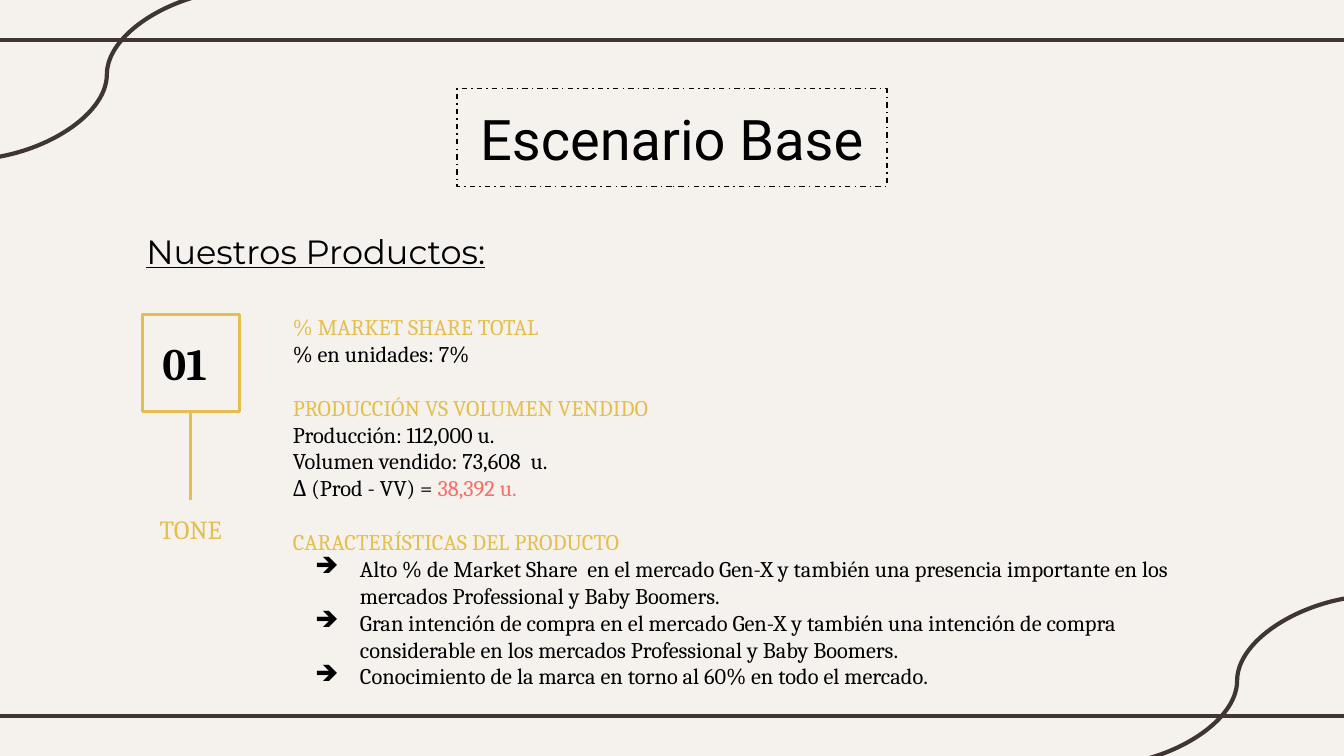
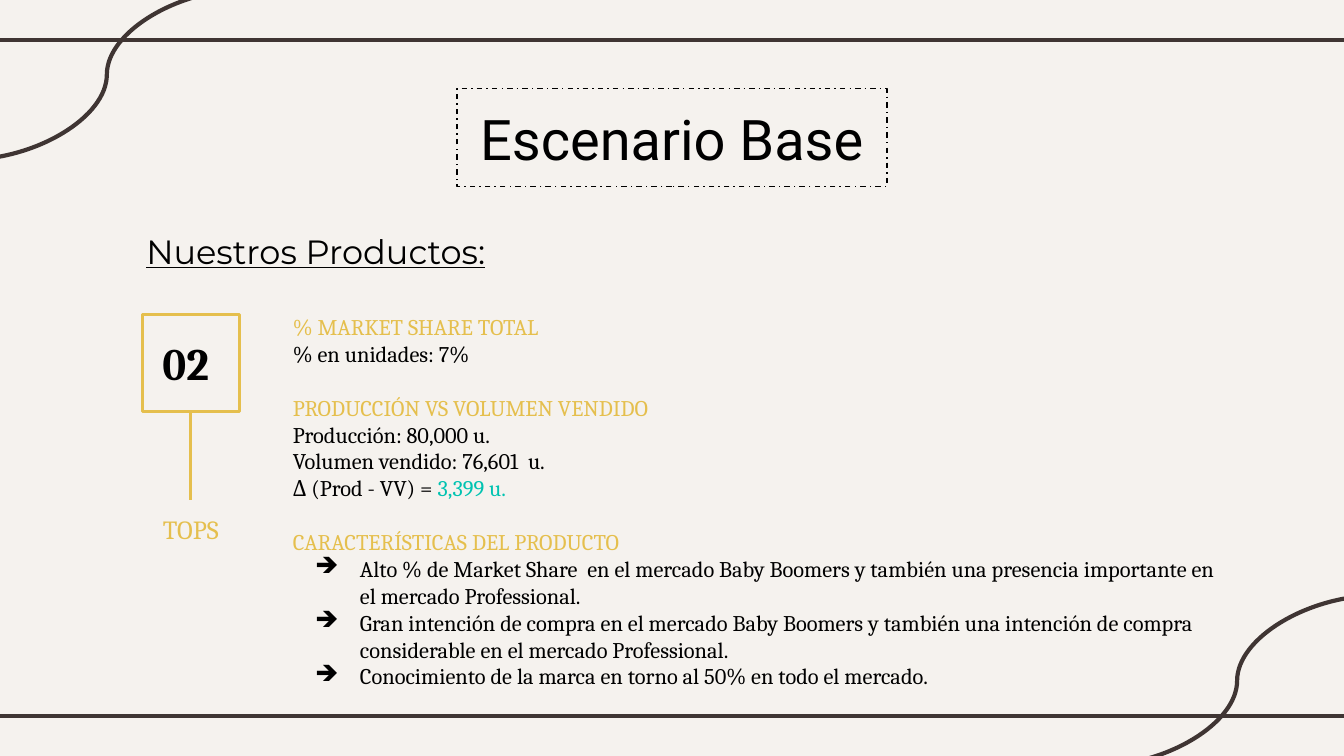
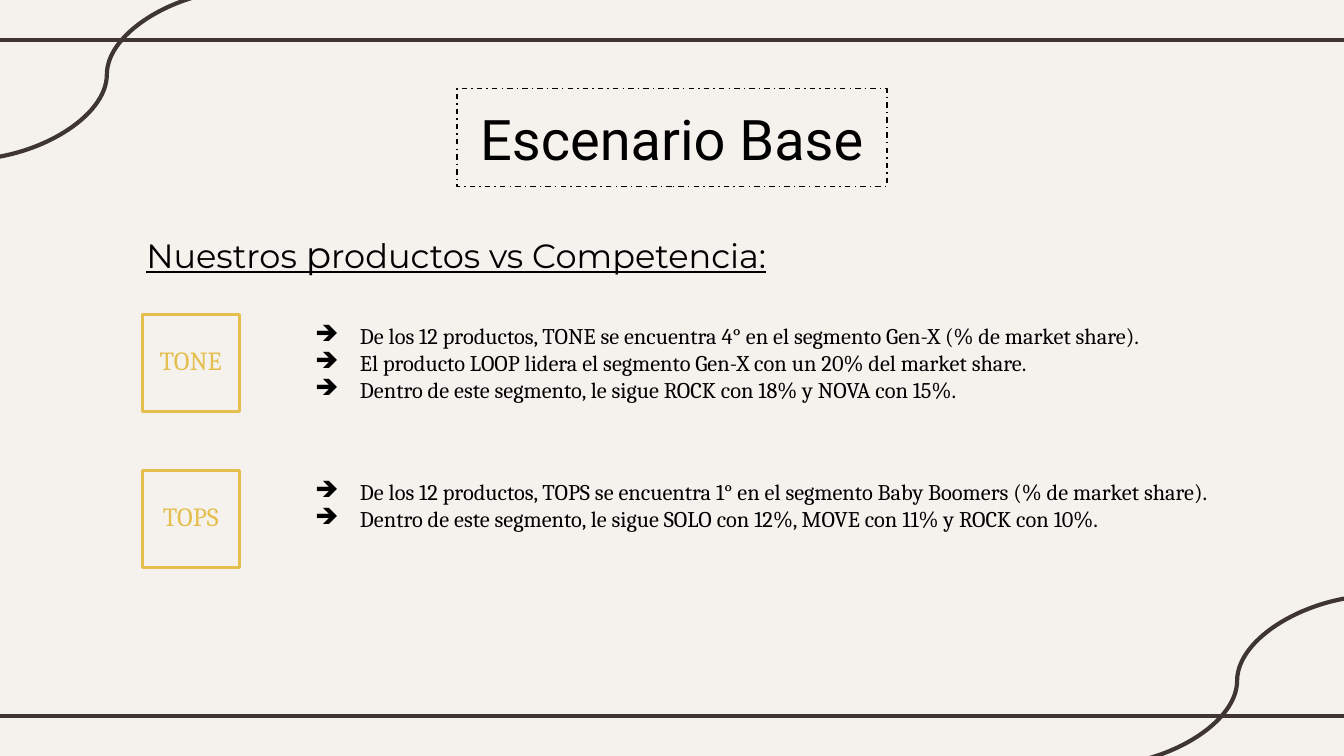
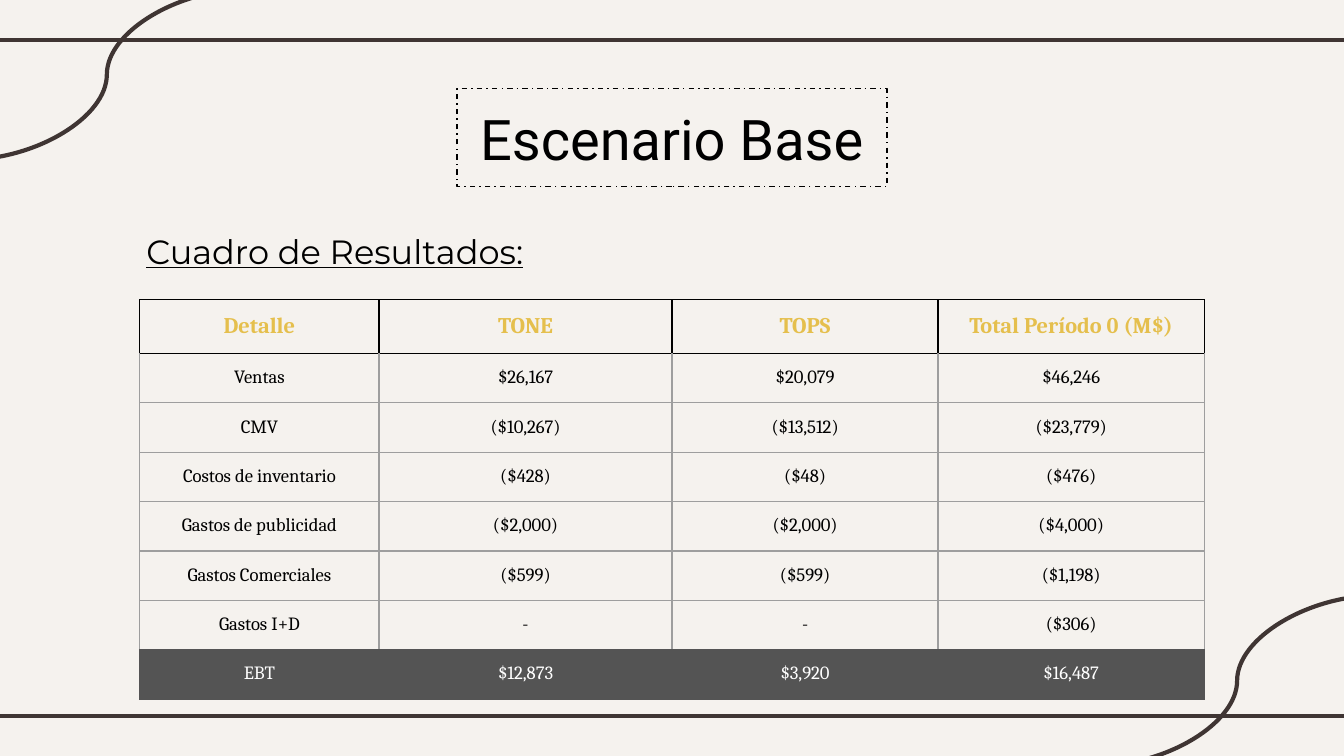
from dataclasses import dataclass
from typing import NamedTuple

import lxml.etree
import pptx
import pptx.dml.color
import pptx.enum.dml
import pptx.enum.shapes
import pptx.enum.text
import pptx.oxml.ns
import pptx.util

COLUMNS, ROWS = 100, 56.25
CELL = pptx.util.Inches(0.1)


@dataclass(frozen=True)
class Theme:
    paper: str = "F5F2EE"
    ink: str = "000000"
    band: str = "3F3533"
    gold: str = "E5BF4D"
    loss: str = "FF6B65"
    gain: str = "00C3B1"
    rule: str = "9E9E9E"
    total: str = "545454"
    light: str = "FFFFFF"
    title_font: str = "Roboto"
    subtitle_font: str = "Montserrat"
    body_font: str = "Cambria"
    title_size: float = 30
    number_size: float = 24
    accent_size: float = 20
    subtitle_size: float = 18
    label_size: float = 14
    body_size: float = 12
    cell_size: float = 10
    band_width: float = 2.25
    badge_width: float = 1.5
    thin_width: float = 0.75
    paragraph_gap: float = 14.4


THEME = Theme()


class Area(NamedTuple):
    left: float
    top: float
    width: float
    height: float


class Stroke(NamedTuple):
    start: tuple[float, float]
    end: tuple[float, float]
    color: str
    width: float
    curved: bool = False


class Span(NamedTuple):
    text: str
    color: str | None = None
    size: float | None = None


@dataclass(frozen=True)
class Line:
    spans: tuple[Span, ...]
    color: str = THEME.ink
    size: float = THEME.body_size
    font: str = THEME.body_font
    bold: bool = False
    underline: bool = False
    centered: bool = False
    bullet: bool = False
    spacing: float | None = None
    before: float = 0
    after: float = 0


@dataclass(frozen=True)
class Product:
    number: str
    name: str
    production: str
    sold: str
    difference: Span
    features: tuple[str, ...]


@dataclass(frozen=True)
class Comparison:
    name: str
    findings: tuple[str, ...]


TITLE_AREA = Area(34, 6.6, 32, 7.3)
SUBTITLE_AREA = Area(9.9, 15.7, 78.7, 4.8)
BADGE_LEFT, BADGE_TOP, BADGE_SIDE = 10.6, 23.4, 7.2
BADGE_CENTER = BADGE_LEFT + BADGE_SIDE / 2
LABEL_WIDTH, LABEL_HEIGHT = 18, 4.8
STEM_END = 37.2
BODY_LEFT, BODY_WIDTH = 20.8, 71.2
COMPARISON_STEP = 11.6
TABLE_LEFT, TABLE_TOP = 10.4, 22.3
TABLE_COLUMNS = (17.8, 21.8, 19.8, 19.8)
TABLE_ROW = 3.4

BANDS = (
    *(Stroke((-0.8, row), (COLUMNS + 0.8, row), THEME.band, THEME.band_width) for row in (3, 53.3)),
    Stroke((102.6, 44.3), (81.5, 57), THEME.band, THEME.band_width, True),
    Stroke((18.5, -0.8), (-2.6, 11.9), THEME.band, THEME.band_width, True),
)

PRODUCTS = (
    Product("01", "TONE", "112,000", "73,608", Span("38,392 u.", THEME.loss), (
        "Alto % de Market Share  en el mercado Gen-X y también una presencia importante en los "
        "mercados Professional y Baby Boomers.",
        "Gran intención de compra en el mercado Gen-X y también una intención de compra "
        "considerable en los mercados Professional y Baby Boomers.",
        "Conocimiento de la marca en torno al 60% en todo el mercado.",
    )),
    Product("02", "TOPS", "80,000", "76,601", Span("3,399 u.", THEME.gain), (
        "Alto % de Market Share  en el mercado Baby Boomers y también una presencia importante "
        "en el mercado Professional.",
        "Gran intención de compra en el mercado Baby Boomers y también una intención de compra "
        "considerable en el mercado Professional.",
        "Conocimiento de la marca en torno al 50% en todo el mercado.",
    )),
)

COMPARISONS = (
    Comparison("TONE", (
        "De los 12 productos, TONE se encuentra 4° en el segmento Gen-X (% de market share).",
        "El producto LOOP lidera el segmento Gen-X con un 20% del market share.",
        "Dentro de este segmento, le sigue ROCK con 18% y NOVA con 15%.",
    )),
    Comparison("TOPS", (
        "De los 12 productos, TOPS se encuentra 1° en el segmento Baby Boomers (% de market share).",
        "Dentro de este segmento, le sigue SOLO con 12%, MOVE con 11% y ROCK con 10%.",
    )),
)

RESULTS = (
    ("Detalle", "TONE", "TOPS", "Total Período 0 (M$)"),
    ("Ventas", "$26,167", "$20,079", "$46,246"),
    ("CMV", "($10,267)", "($13,512)", "($23,779)"),
    ("Costos de inventario", "($428)", "($48)", "($476)"),
    ("Gastos de publicidad", "($2,000)", "($2,000)", "($4,000)"),
    ("Gastos Comerciales", "($599)", "($599)", "($1,198)"),
    ("Gastos I+D", "-", "-", "($306)"),
    ("EBT", "$12,873", "$3,920", "$16,487"),
)


def cells(count: float) -> int:
    return round(count * CELL)


def place(area: Area) -> list[int]:
    return [cells(length) for length in area]


def rgb(color: str) -> pptx.dml.color.RGBColor:
    return pptx.dml.color.RGBColor.from_string(color)


def add_xml(parent, tag: str, **attributes: str):
    return lxml.etree.SubElement(parent, pptx.oxml.ns.qn(tag), attributes)


def add_bullet(para) -> None:
    properties = para._p.get_or_add_pPr()
    properties.set("marL", str(pptx.util.Inches(0.5)))
    properties.set("indent", str(-pptx.util.Pt(24)))
    add_xml(add_xml(properties, "a:buClr"), "a:srgbClr", val=THEME.ink)
    add_xml(properties, "a:buChar", char="➔")


def write_line(para, line: Line) -> None:
    if line.bullet:
        add_bullet(para)
    if line.centered:
        para.alignment = pptx.enum.text.PP_ALIGN.CENTER
    else:
        para.alignment = pptx.enum.text.PP_ALIGN.LEFT
    if line.spacing:
        para.line_spacing = line.spacing
    para.space_before = pptx.util.Pt(line.before)
    para.space_after = pptx.util.Pt(line.after)
    para.font.name = line.font
    para.font.size = pptx.util.Pt(line.size)
    para.font.bold = line.bold
    para.font.underline = line.underline
    para.font.color.rgb = rgb(line.color)
    for part in line.spans:
        span = para.add_run()
        span.text = part.text
        if part.color:
            span.font.color.rgb = rgb(part.color)
        if part.size:
            span.font.size = pptx.util.Pt(part.size)


def write_text(frame, lines: list[Line], inset: float = 1) -> None:
    frame.word_wrap = True
    frame.margin_left = frame.margin_right = cells(1)
    frame.margin_top = frame.margin_bottom = cells(inset)
    for index, line in enumerate(lines):
        write_line(frame.add_paragraph() if index else frame.paragraphs[0], line)


def add_text(page, area: Area, lines: list[Line], inset: float = 1) -> None:
    write_text(page.shapes.add_textbox(*place(area)).text_frame, lines, inset)


def add_frame(page, area: Area, color: str, width: float):
    box = page.shapes.add_shape(pptx.enum.shapes.MSO_SHAPE.RECTANGLE, *place(area))
    box.shadow.inherit = False
    box.fill.background()
    box.line.color.rgb = rgb(color)
    box.line.width = pptx.util.Pt(width)
    return box


def add_stroke(page, stroke: Stroke):
    kinds = pptx.enum.shapes.MSO_CONNECTOR
    kind = kinds.CURVE if stroke.curved else kinds.STRAIGHT
    connector = page.shapes.add_connector(kind, *map(cells, stroke.start + stroke.end))
    connector.line.color.rgb = rgb(stroke.color)
    connector.line.width = pptx.util.Pt(stroke.width)
    add_xml(connector.element.spPr, "a:effectLst")
    return connector


def dress_layout(layout, page) -> None:
    layout.background.fill.solid()
    layout.background.fill.fore_color.rgb = rgb(THEME.paper)
    for placeholder in list(layout.placeholders):
        layout.shapes.element.remove(placeholder.element)
    for stroke in BANDS:
        layout.shapes.element.append(add_stroke(page, stroke).element)


def add_headings(page, *subtitle: Span) -> None:
    box = add_frame(page, TITLE_AREA, THEME.ink, THEME.thin_width)
    box.line.dash_style = pptx.enum.dml.MSO_LINE.DASH_DOT
    box.text_frame.vertical_anchor = pptx.enum.text.MSO_ANCHOR.MIDDLE
    write_text(box.text_frame, [
        Line((Span("Escenario Base"),), size=THEME.title_size, font=THEME.title_font, centered=True)
    ])
    add_text(page, SUBTITLE_AREA, [
        Line(subtitle, size=THEME.subtitle_size, font=THEME.subtitle_font,
             underline=True, spacing=1.15, after=12)
    ])


def add_badge(page, top: float) -> None:
    area = Area(BADGE_LEFT, top, BADGE_SIDE, BADGE_SIDE)
    add_frame(page, area, THEME.gold, THEME.badge_width)


def add_label(page, top: float, name: str) -> None:
    area = Area(BADGE_CENTER - LABEL_WIDTH / 2, top, LABEL_WIDTH, LABEL_HEIGHT)
    add_text(page, area, [
        Line((Span(name),), color=THEME.gold, size=THEME.label_size, centered=True)
    ])


def bullets(texts: tuple[str, ...]) -> list[Line]:
    return [Line((Span(text),), bullet=True) for text in texts]


def section(heading: str, lines: list[Line], before: float = THEME.paragraph_gap) -> list[Line]:
    return [Line((Span(heading),), color=THEME.gold, before=before), *lines]


def draw_product(page, product: Product) -> None:
    add_headings(page, Span("Nuestros Productos:"))
    add_badge(page, BADGE_TOP)
    add_text(page, Area(11.1, 24.5, 6.2, 5), [
        Line((Span(product.number),), size=THEME.number_size, bold=True)
    ], inset=0.5)
    stem_start = BADGE_TOP + BADGE_SIDE
    add_stroke(page, Stroke((BADGE_CENTER, stem_start), (BADGE_CENTER, STEM_END),
                            THEME.gold, THEME.badge_width))
    add_label(page, STEM_END, product.name)
    volumes = [
        Line((Span(f"Producción: {product.production} u."),)),
        Line((Span(f"Volumen vendido: {product.sold}  u."),)),
        Line((Span("Δ (Prod - VV) = "), product.difference)),
    ]
    add_text(page, Area(BODY_LEFT, 22.3, BODY_WIDTH, 28.8), [
        *section("% MARKET SHARE TOTAL", [Line((Span("% en unidades: 7%"),))], before=0),
        *section("PRODUCCIÓN VS VOLUMEN VENDIDO", volumes),
        *section("CARACTERÍSTICAS DEL PRODUCTO", bullets(product.features)),
    ])


def draw_comparisons(page) -> None:
    add_headings(page, Span("Nuestros "), Span("p", size=THEME.accent_size),
                 Span("roductos vs Competencia:"))
    for index, comparison in enumerate(COMPARISONS):
        top = BADGE_TOP + index * COMPARISON_STEP
        add_badge(page, top)
        add_label(page, top + (BADGE_SIDE - LABEL_HEIGHT) / 2, comparison.name)
        add_text(page, Area(BODY_LEFT, top - 0.4, BODY_WIDTH, 8), bullets(comparison.findings))


def add_borders(cell, sides: str, top: str, bottom: str) -> None:
    properties = cell._tc.get_or_add_tcPr()
    for edge, color in (("L", sides), ("R", sides), ("T", top), ("B", bottom)):
        border = add_xml(properties, f"a:ln{edge}", w=str(pptx.util.Pt(THEME.thin_width)))
        add_xml(add_xml(border, "a:solidFill"), "a:srgbClr", val=color)


def draw_results(page) -> None:
    add_headings(page, Span("Cuadro de Resultados:"))
    last = len(RESULTS) - 1
    area = Area(TABLE_LEFT, TABLE_TOP, sum(TABLE_COLUMNS), TABLE_ROW * len(RESULTS))
    table = page.shapes.add_table(len(RESULTS), len(TABLE_COLUMNS), *place(area)).table
    table.first_row = table.horz_banding = False
    for column, width in zip(table.columns, TABLE_COLUMNS):
        column.width = cells(width)
    rules = [THEME.ink, *[THEME.rule] * (last - 1), THEME.total]
    for row, texts in enumerate(RESULTS):
        header, total = row == 0, row == last
        top = THEME.ink if row <= 1 else rules[row]
        bottom = THEME.total if row >= last - 1 else rules[row]
        color = THEME.gold if header else THEME.light if total else THEME.ink
        size = THEME.body_size if header else THEME.cell_size
        for column, text in enumerate(texts):
            cell = table.cell(row, column)
            cell.margin_left = cell.margin_right = cells(1)
            cell.margin_top = cell.margin_bottom = cells(1)
            write_line(cell.text_frame.paragraphs[0],
                       Line((Span(text),), color=color, size=size, bold=header, centered=True))
            add_borders(cell, rules[row], top, bottom)
            if total:
                cell.fill.solid()
                cell.fill.fore_color.rgb = rgb(THEME.total)
            else:
                cell.fill.background()


def main() -> None:
    deck = pptx.Presentation()
    deck.slide_width, deck.slide_height = cells(COLUMNS), cells(ROWS)
    blank = deck.slide_layouts[6]
    pages = [deck.slides.add_slide(blank) for _ in range(len(PRODUCTS) + 2)]
    dress_layout(blank, pages[0])
    for page, product in zip(pages, PRODUCTS):
        draw_product(page, product)
    draw_comparisons(pages[-2])
    draw_results(pages[-1])
    deck.save("out.pptx")


if __name__ == "__main__":
    main()
